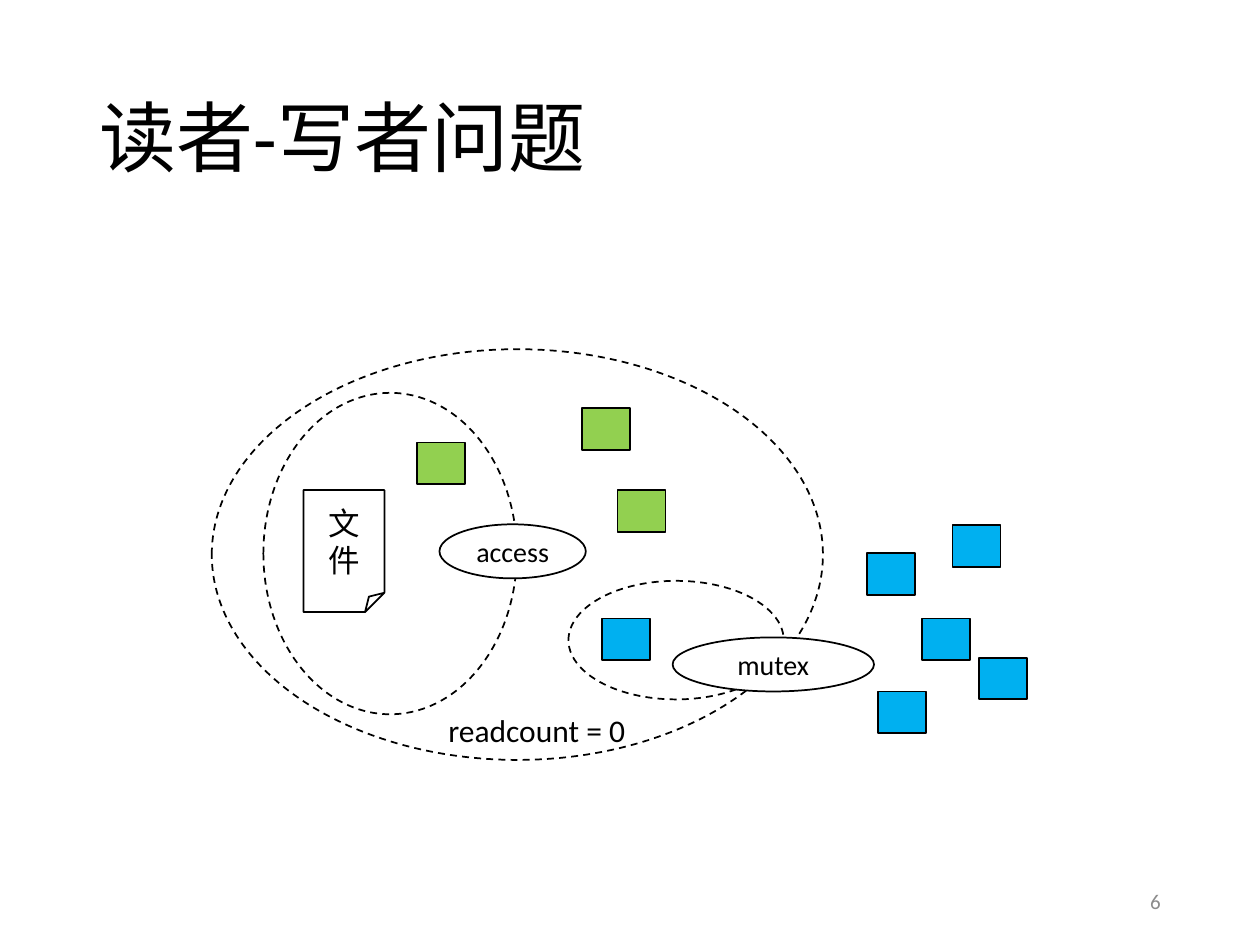
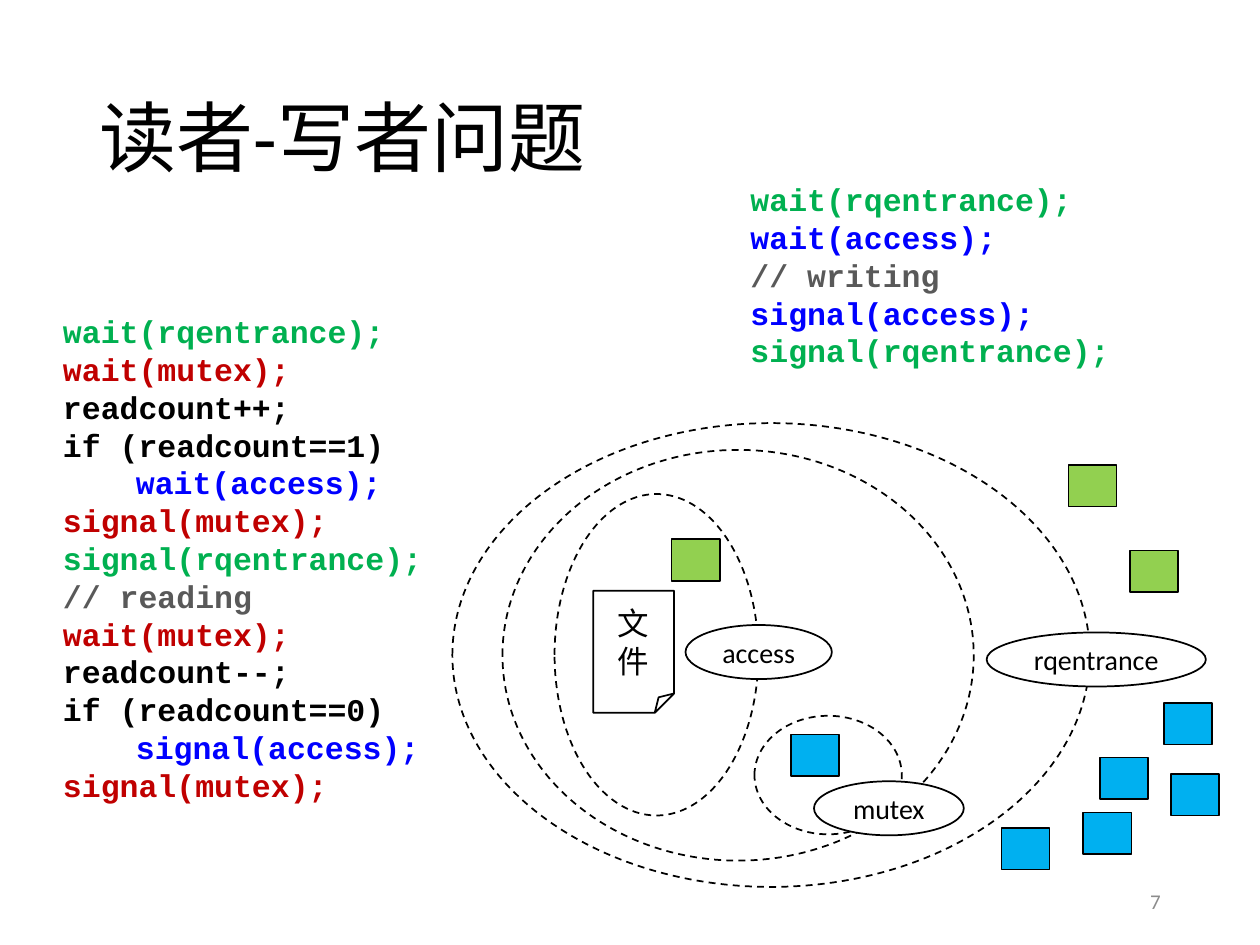
"""Build two slides on the readers and writers problem."""
from dataclasses import dataclass

from lxml import etree
from pptx import Presentation
from pptx.dml.color import RGBColor
from pptx.enum import dml, shapes, text
from pptx.oxml.ns import qn
from pptx.util import Cm, Pt

TITLE = "读者-写者问题"

SLIDES = [
    {
        "page": "6",
        "rings": [(5.31, 7.92, 5.11, 6.48), (4.27, 7.04, 12.32, 8.28),
                  (11.46, 11.71, 4.34, 2.39)],
        "locks": [("access", 8.86, 10.57, 2.95), ("mutex", 13.56, 12.85, 4.06)],
        "readers": [(12.14, 12.47), (17.48, 11.15), (19.2, 10.59),
                    (18.59, 12.47), (19.74, 13.26), (17.7, 13.94)],
        "writers": [(8.41, 8.92), (12.45, 9.88), (11.73, 8.23)],
        "file": (6.12, 9.88),
        "notes": [("readcount = 0", (8.79, 14.2, 4.11, 1.02))],
        "code": [],
    },
    {
        "page": "7",
        "rings": [(11.18, 9.96, 4.11, 6.48), (10.13, 9.07, 9.5, 8.28),
                  (15.21, 14.43, 2.97, 2.39), (9.12, 8.53, 12.85, 9.35)],
        "locks": [("access", 13.82, 12.6, 2.95), ("mutex", 16.41, 15.75, 3.02),
                  ("rqentrance", 19.89, 12.75, 4.42)],
        "readers": [(15.95, 14.81), (23.6, 15.6), (23.47, 14.17),
                    (21.84, 16.38), (22.17, 15.27), (20.19, 16.69)],
        "writers": [(13.54, 10.87), (22.78, 11.1), (21.54, 9.37)],
        "file": (11.96, 11.91),
        "notes": [],
        "code": [
            ((1.02, 6.17, 8.15, 10.26), [
                "wait(rqentrance);", "wait(mutex);", "readcount++;",
                "if (readcount==1)", "\twait(access);", "signal(mutex);",
                "signal(rqentrance);", "// reading", "wait(mutex);",
                "readcount--;", "if (readcount==0)", "\tsignal(access);",
                "signal(mutex);"]),
            ((14.88, 3.51, 8.03, 4.11), [
                "wait(rqentrance);", "wait(access);", "// writing",
                "signal(access);", "signal(rqentrance);"]),
        ],
    },
]


@dataclass(frozen=True)
class Theme:
    """Hold the colours, fonts and type sizes."""
    ink: str = "000000"
    paper: str = "FFFFFF"
    page: str = "8C8C8C"
    reader: str = "00B0F0"
    writer: str = "92D050"
    sans: str = "Calibri"
    mono: str = "Courier New"
    head: int = 44
    body: int = 18
    label: int = 16
    foot: int = 12


THEME = Theme()
HUES = {"rqentrance": "00B050", "mutex": "C00000", "access": "0000FF", "//": "595959"}
KINDS = shapes.MSO_SHAPE
TITLE_BOX = (1.75, 1.02, 21.89, 3.68)
PAGE_BOX = (17.93, 17.65, 5.72, 1.02)
TASK_SIZE = (0.97, 0.84)
FILE_SIZE = (1.63, 2.46)
LOCK_HIGH = 1.09
INDENT = 1.47
FOLD = 23900


def style(para, size, color=THEME.ink, face=THEME.sans, bold=False, align=None):
    """Set the font and alignment of a paragraph."""
    font = para.font
    font.size, font.name, font.bold = Pt(size), face, bold
    font.color.rgb = RGBColor.from_string(color)
    para.alignment = align


def draw(slide, kind, box, fill=None, dash=False):
    """Add an outlined shape."""
    shape = slide.shapes.add_shape(kind, *map(Cm, box))
    shape.shadow.inherit = False
    if fill:
        shape.fill.solid()
        shape.fill.fore_color.rgb = RGBColor.from_string(fill)
    else:
        shape.fill.background()
    shape.line.color.rgb = RGBColor.from_string(THEME.ink)
    shape.line.width = Pt(1)
    if dash:
        shape.line.dash_style = dml.MSO_LINE.DASH
    return shape


def label(shape, words, size):
    """Write centred words in a shape."""
    frame = shape.text_frame
    frame.text, frame.word_wrap = words, True
    frame.vertical_anchor = text.MSO_ANCHOR.MIDDLE
    style(frame.paragraphs[0], size, align=text.PP_ALIGN.CENTER)


def write(slide, box, words, wrap=True, **look):
    """Add a text box with one paragraph."""
    frame = slide.shapes.add_textbox(*map(Cm, box)).text_frame
    frame.text, frame.word_wrap = words, wrap
    style(frame.paragraphs[0], **look)
    return frame


def list_code(slide, box, lines):
    """Add code, each line coloured by the lock it names."""
    frame = slide.shapes.add_textbox(*map(Cm, box)).text_frame
    frame.word_wrap = True
    frame.text = "\n".join(line.strip() for line in lines)
    for para, line in zip(frame.paragraphs, lines):
        hue = next((HUES[key] for key in HUES if key in line), THEME.ink)
        style(para, THEME.body, hue, THEME.mono, bold=True)
        if line.startswith("\t"):
            props = para._p.get_or_add_pPr()
            props.set("marL", str(Cm(INDENT)))
            props.set("indent", "0")


def draw_file(slide, spot):
    """Add the file as a sheet with a folded corner."""
    sheet = draw(slide, KINDS.FOLDED_CORNER, spot + FILE_SIZE)
    guides = next(sheet._element.iter(qn("a:avLst")))
    for old in list(guides):
        guides.remove(old)
    etree.SubElement(guides, qn("a:gd"), name="adj", fmla=f"val {FOLD}")
    label(sheet, "文件", THEME.body)


def set_frame(slide, page):
    """Set the title and the page number."""
    title = slide.shapes.title
    title.left, title.top, title.width, title.height = map(Cm, TITLE_BOX)
    frame = title.text_frame
    frame.text = TITLE
    frame.vertical_anchor = text.MSO_ANCHOR.MIDDLE
    frame.paragraphs[0].line_spacing = 0.9
    style(frame.paragraphs[0], THEME.head, align=text.PP_ALIGN.LEFT)
    foot = write(slide, PAGE_BOX, page, size=THEME.foot, color=THEME.page,
                 align=text.PP_ALIGN.RIGHT)
    foot.vertical_anchor = text.MSO_ANCHOR.MIDDLE


def fill_slide(slide, data):
    """Draw the rings, tasks, file, locks and text of one slide."""
    set_frame(slide, data["page"])
    for box in data["rings"]:
        draw(slide, KINDS.OVAL, box, dash=True)
    for role, color in (("readers", THEME.reader), ("writers", THEME.writer)):
        for spot in data[role]:
            draw(slide, KINDS.RECTANGLE, spot + TASK_SIZE, color)
    draw_file(slide, data["file"])
    for name, left, top, wide in data["locks"]:
        lock = draw(slide, KINDS.OVAL, (left, top, wide, LOCK_HIGH), THEME.paper)
        lock.text_frame.margin_left = lock.text_frame.margin_right = 0
        label(lock, name, THEME.label)
    for words, box in data["notes"]:
        write(slide, box, words, wrap=False, size=THEME.body)
    for box, lines in data["code"]:
        list_code(slide, box, lines)


def main():
    """Build and save the deck."""
    deck = Presentation()
    deck.slide_width, deck.slide_height = Cm(25.4), Cm(19.05)
    for data in SLIDES:
        fill_slide(deck.slides.add_slide(deck.slide_layouts[5]), data)
    deck.save("out.pptx")


if __name__ == "__main__":
    main()
